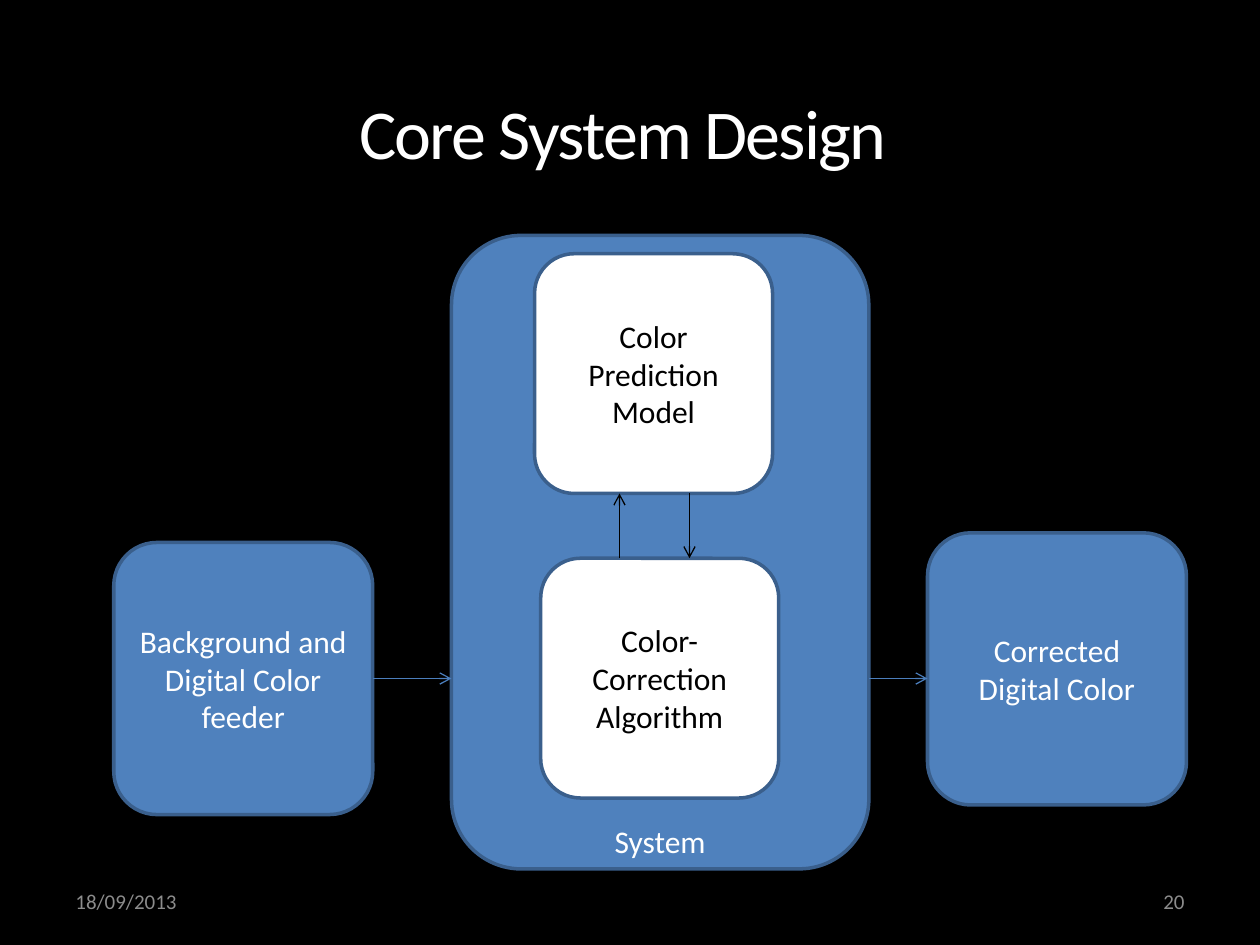
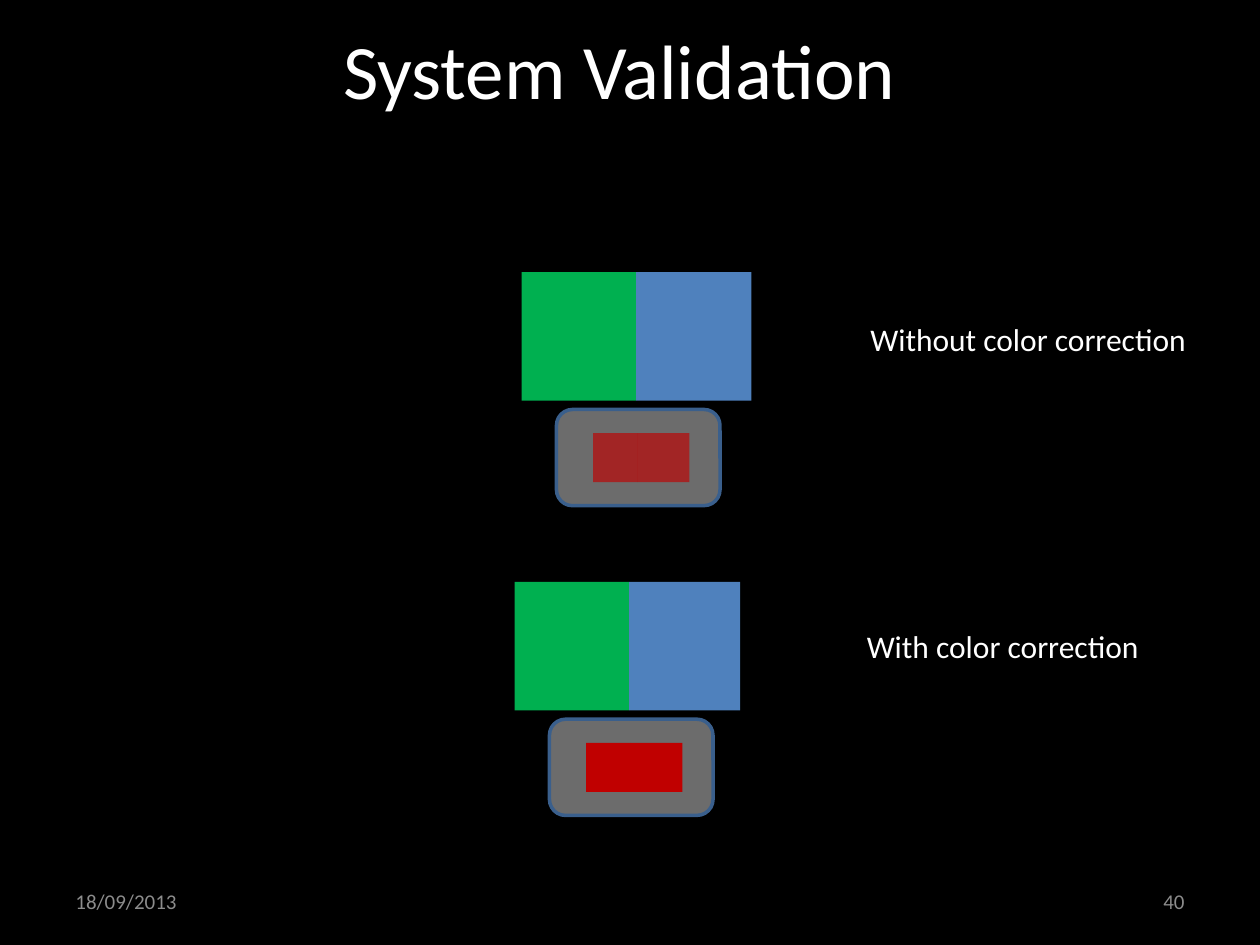
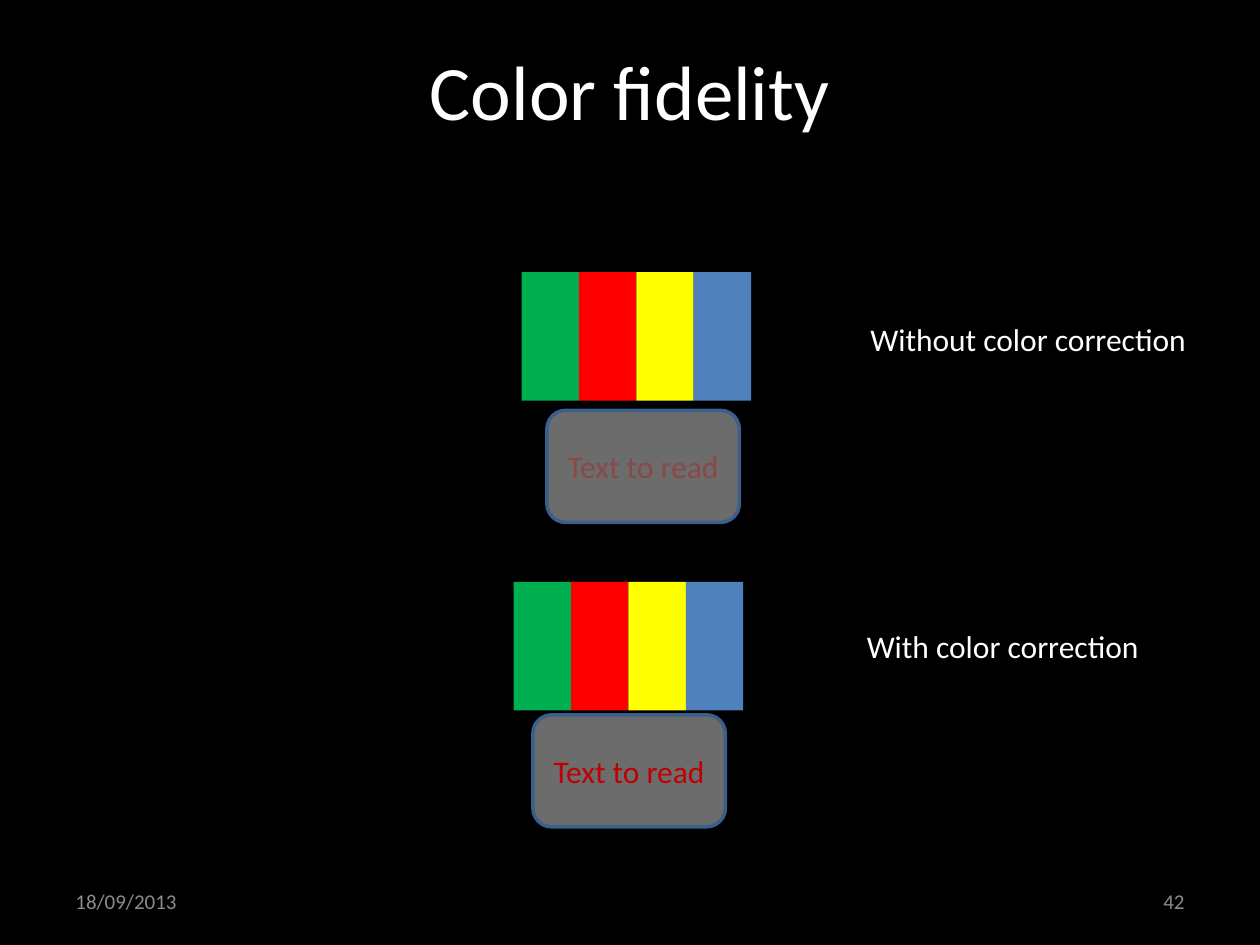
import lxml.etree
import pptx
import pptx.dml.color
import pptx.enum.shapes
import pptx.enum.text
import pptx.oxml.ns
import pptx.util

Pt = pptx.util.Pt
qn = pptx.oxml.ns.qn
SHAPE = pptx.enum.shapes.MSO_SHAPE
ALIGN = pptx.enum.text.PP_ALIGN
ANCHOR = pptx.enum.text.MSO_ANCHOR

FONT = "Calibri"
COLORS = {
    "black": "000000",
    "white": "FFFFFF",
    "footer": "8C8C8C",
    "blue": "4F81BD",
    "outline": "3A5F8C",
    "arrow": "4B7EBC",
    "green": "00B050",
    "red": "FF0000",
    "yellow": "FFFF00",
    "pane": "D9D9D9",
    "target": "C00000",
    "faded": "8A4848",
}
DATE = "18/09/2013"


def rgb(name):
    return pptx.dml.color.RGBColor.from_string(COLORS[name])


class Deck:
    def __init__(self):
        self.presentation = pptx.Presentation()
        self.presentation.slide_width = Pt(720)
        self.presentation.slide_height = Pt(540)
        self.slide = None

    def new_slide(self, number):
        """Start a black slide with date and slide number."""
        layout = self.presentation.slide_layouts[6]
        self.slide = self.presentation.slides.add_slide(layout)
        self.slide.background.fill.solid()
        self.slide.background.fill.fore_color.rgb = rgb("black")
        self.text(DATE, 36, 500.5, 168, 28.5, 12, "footer", anchor=ANCHOR.MIDDLE)
        self.text(str(number), 516, 500.5, 168, 28.5, 12, "footer",
                  ALIGN.RIGHT, ANCHOR.MIDDLE)

    def fill_text(self, shape, text, size, color, align, anchor, wrap=True):
        frame = shape.text_frame
        frame.word_wrap = wrap
        frame.vertical_anchor = anchor
        paragraph = frame.paragraphs[0]
        paragraph.text = text
        paragraph.alignment = align
        paragraph.font.name = FONT
        paragraph.font.size = Pt(size)
        paragraph.font.color.rgb = rgb(color)
        return paragraph

    def text(self, text, left, top, width, height, size=18, color="white",
             align=ALIGN.LEFT, anchor=ANCHOR.TOP, wrap=True):
        box = self.slide.shapes.add_textbox(Pt(left), Pt(top), Pt(width), Pt(height))
        return self.fill_text(box, text, size, color, align, anchor, wrap)

    def title(self, text, left, top, width, height, size=44,
              anchor=ANCHOR.MIDDLE, spacing=0):
        paragraph = self.text(text, left, top, width, height, size,
                              align=ALIGN.CENTER, anchor=anchor)
        if spacing:
            properties = paragraph.runs[0]._r.get_or_add_rPr()
            properties.set("spc", str(spacing * 100))

    def shape(self, kind, left, top, width, height, fill, opacity=100):
        shape = self.slide.shapes.add_shape(kind, Pt(left), Pt(top), Pt(width), Pt(height))
        shape.shadow.inherit = False
        shape.fill.solid()
        shape.fill.fore_color.rgb = rgb(fill)
        if opacity < 100:
            color = shape._element.spPr.find(qn("a:solidFill")).find(qn("a:srgbClr"))
            alpha = lxml.etree.SubElement(color, qn("a:alpha"))
            alpha.set("val", str(opacity * 1000))
        shape.line.fill.background()
        return shape

    def rounded(self, left, top, width, height, fill, text="", color="white", opacity=100):
        shape = self.shape(SHAPE.ROUNDED_RECTANGLE, left, top, width, height, fill, opacity)
        shape.line.color.rgb = rgb("outline")
        shape.line.width = Pt(2)
        if text:
            self.fill_text(shape, text, 18, color, ALIGN.CENTER, ANCHOR.MIDDLE)
        return shape

    def pane(self, left, top, width, height, text="", color="white"):
        self.rounded(left, top, width, height, "pane", text, color, opacity=50)

    def strips(self, left, top, height, strips, opacity=100):
        """Place (color, width) rectangles side by side."""
        for color, width in strips:
            self.shape(SHAPE.RECTANGLE, left, top, width, height, color, opacity)
            left += width

    def arrow(self, start_x, start_y, end_x, end_y, color):
        connector = self.slide.shapes.add_connector(
            pptx.enum.shapes.MSO_CONNECTOR.STRAIGHT,
            Pt(start_x), Pt(start_y), Pt(end_x), Pt(end_y))
        connector.line.color.rgb = rgb(color)
        connector.line.width = Pt(0.75)
        line = connector.line._get_or_add_ln()
        lxml.etree.SubElement(line, qn("a:tailEnd")).set("type", "arrow")
        lxml.etree.SubElement(connector._element.spPr, qn("a:effectLst"))
        return connector

    def correction_labels(self):
        self.text("Without color correction", 490.3, 179.3, 197, 29, wrap=False)
        self.text("With color correction", 488.2, 355, 178, 29, wrap=False)


def core_system_design(deck):
    deck.new_slide(20)
    deck.title("Core System Design ", 36, 36, 648, 78, size=40, spacing=-1)

    # System and its two inner parts
    deck.rounded(258, 134.5, 238.5, 362, "blue")
    deck.text("System", 258, 466, 238.5, 29, align=ALIGN.CENTER)
    deck.rounded(305.5, 145, 136, 137, "white", "Color Prediction Model", "black")
    deck.rounded(309, 319, 136, 137, "white", "Color-Correction Algorithm", "black")

    # Input and output
    feeder = deck.rounded(65, 310, 148, 155.5, "blue", "Background and Digital Color feeder")
    deck.rounded(530, 304.5, 148, 155.5, "blue", "Corrected Digital Color")

    # Flow
    flow_y = 387.75
    deck.arrow(213, flow_y, 258, flow_y, "arrow").begin_connect(feeder, 3)
    deck.arrow(354, 319, 354, 282, "black")
    deck.arrow(394, 282, 394, 319, "black")
    deck.arrow(496.5, flow_y, 530, flow_y, "arrow")


def system_validation(deck):
    deck.new_slide(40)
    deck.title("System Validation", 48, 1.5, 612, 75.5)
    rows = [(298, 155.5, 66, 65), (294, 332.5, 63.5, 100)]
    for left, top, blue_width, target_opacity in rows:
        deck.pane(left + 20, top + 78.5, 93.5, 55)
        deck.strips(left, top, 73.5, [("green", 65.5), ("blue", blue_width)])
        deck.strips(left + 41, top + 92, 28, [("target", 25.5), ("target", 29.5)],
                    target_opacity)
    deck.correction_labels()


def color_fidelity(deck):
    deck.new_slide(42)
    deck.title("Color fidelity", 36, 21.6, 648, 90, anchor=ANCHOR.TOP)
    backdrop = [(color, 32.8) for color in ("green", "red", "yellow", "blue")]
    rows = [(298, 155.5, 312.5, 234.5, "faded"), (293.5, 332.5, 304.5, 408.5, "target")]
    for left, top, pane_left, pane_top, text_color in rows:
        deck.strips(left, top, 73.5, backdrop)
        deck.pane(pane_left, pane_top, 110, 64, "Text to read", text_color)
    deck.correction_labels()


def main():
    deck = Deck()
    core_system_design(deck)
    system_validation(deck)
    color_fidelity(deck)
    deck.presentation.save("out.pptx")


if __name__ == "__main__":
    main()
